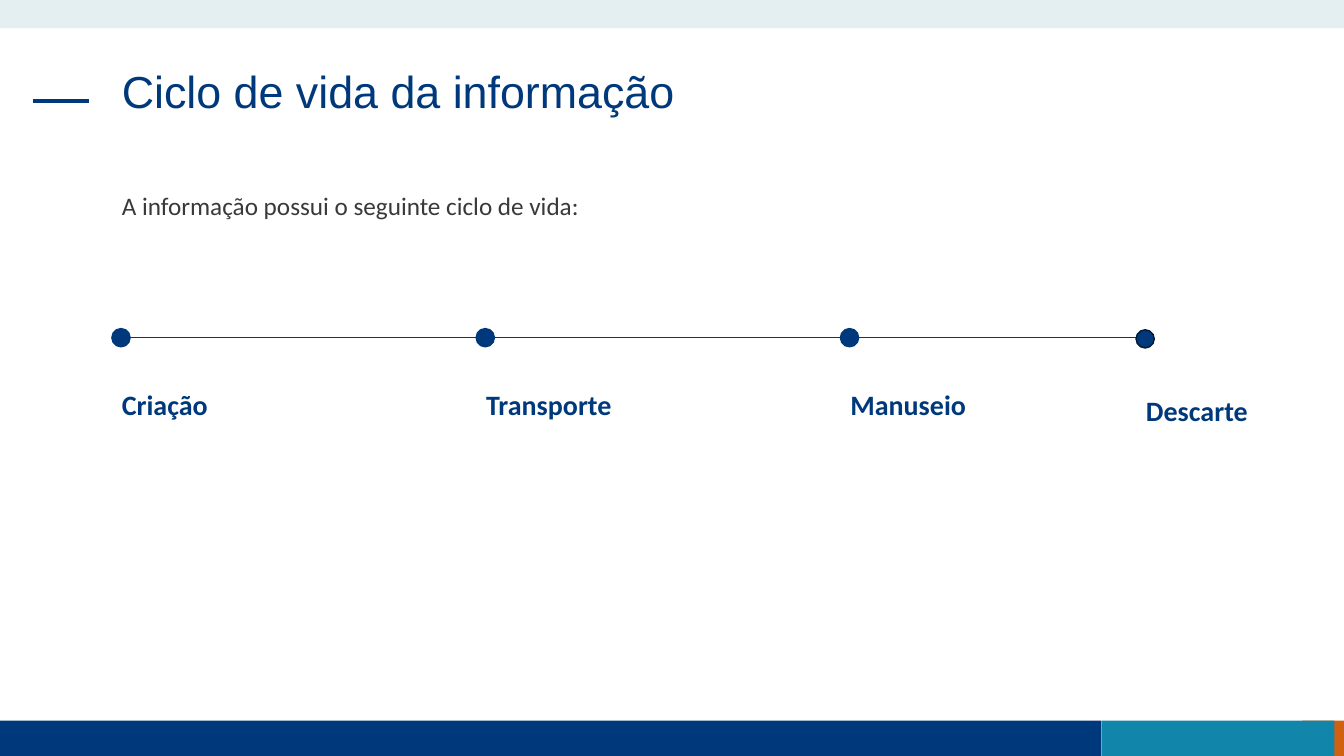
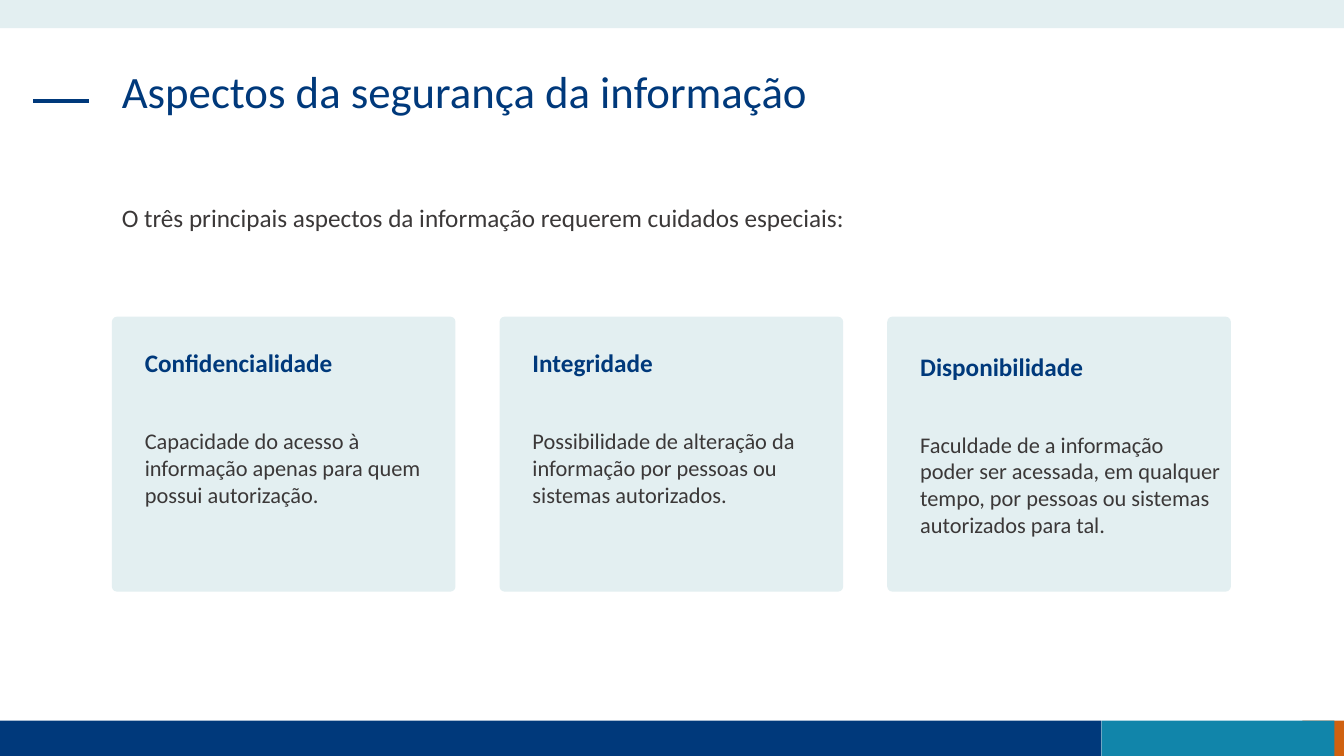
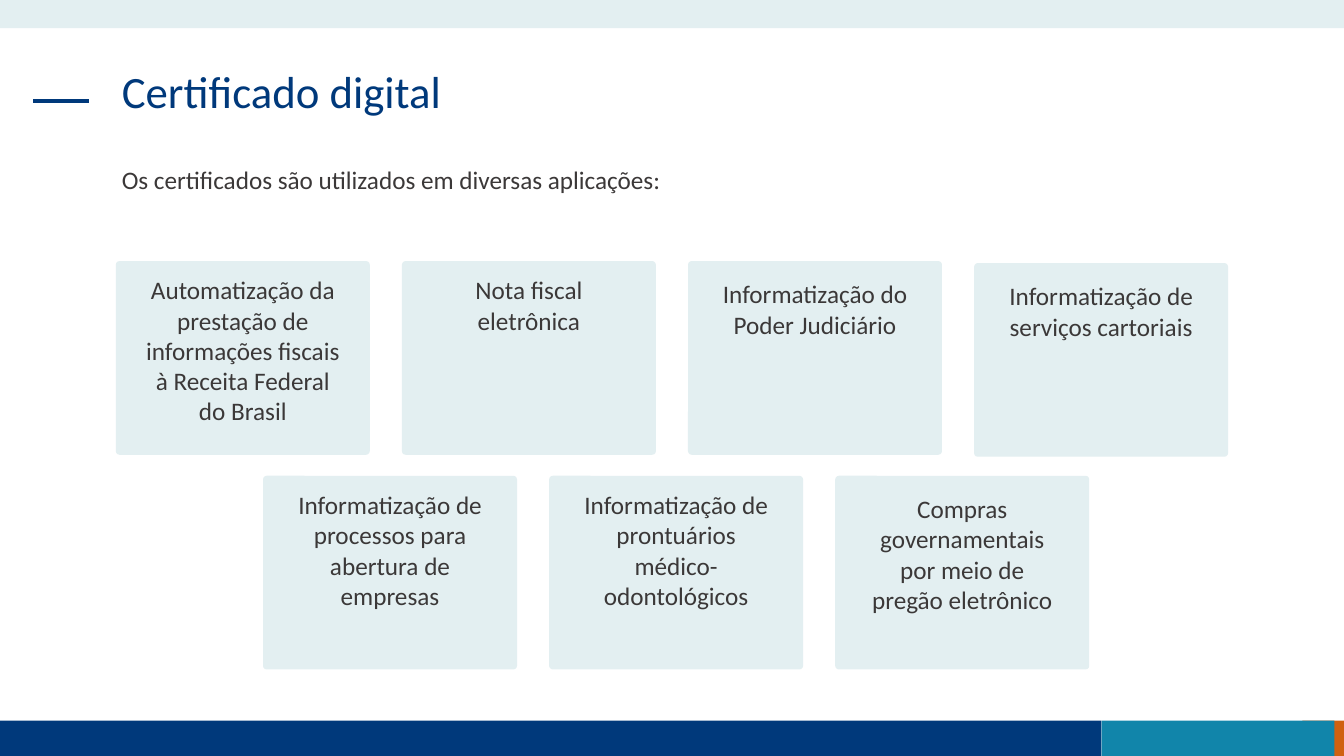
"""Build three slides on information security: life cycle, aspects and digital certificates."""
from lxml.etree import SubElement
from pptx import Presentation
from pptx.dml.color import RGBColor
from pptx.enum.shapes import MSO_CONNECTOR, MSO_SHAPE
from pptx.enum.text import PP_ALIGN
from pptx.oxml.ns import qn
from pptx.util import Cm, Pt

NAVY, TEAL, ORANGE, PALE, GREY, DARK = "00397B", "1185AA", "D06110", "E3EFF1", "3B3838", "001936"
TITLE = {"size": Pt(32)}
BODY = {"name": "Calibri", "size": Pt(18)}
SMALL = {"name": "Calibri", "size": Pt(16)}
HEADING = {"name": "Calibri", "size": Pt(18), "bold": True}
STAGE = {"name": "Calibri", "size": Pt(20), "bold": True}


def add_box(s, kind, x, y, w, h, fill, line=None):
    sp = s.shapes.add_shape(kind, Cm(x), Cm(y), Cm(w), Cm(h))
    sp.shadow.inherit = False
    sp.fill.solid()
    sp.fill.fore_color.rgb = RGBColor.from_string(fill)
    if line:
        sp.line.color.rgb = RGBColor.from_string(line)
        sp.line.width = Pt(1)
    else:
        sp.line.fill.background()
    if kind == MSO_SHAPE.ROUNDED_RECTANGLE:
        sp.adjustments[0] = 0.019
    return sp


def add_text(s, text, x, y, w, h, color, font, **layout):
    tf = s.shapes.add_textbox(Cm(x), Cm(y), Cm(w), Cm(h)).text_frame
    tf.word_wrap = True
    p = tf.paragraphs[0]
    for name, value in layout.items():
        setattr(p, name, value)
    r = p.add_run()
    r.text = text
    r.font.color.rgb = RGBColor.from_string(color)
    for name, value in font.items():
        setattr(r.font, name, value)


prs = Presentation()
prs.slide_width, prs.slide_height = Cm(33.87), Cm(19.05)

bands = [
    (32.82, 18.16, 1.05, 0.89, ORANGE),
    (0, 18.16, 27.76, 0.89, NAVY),
    (27.76, 18.16, 5.87, 0.89, TEAL),
    (0, 0, 33.87, 0.71, PALE),
]
openings = [
    ("Ciclo de vida da informação", "Arial", "A informação possui o seguinte ciclo de vida:", 4.67),
    ("Aspectos da segurança da informação", "Calibri",
     "O três principais aspectos da informação requerem cuidados especiais:", 4.98),
    ("Certificado digital", "Calibri", "Os certificados são utilizados em diversas aplicações:", 4.01),
]
rules = [(0.84, 2.24, 2.54, 3)]
slides = []
for title, face, intro, intro_y in openings:
    s = prs.slides.add_slide(prs.slide_layouts[6])
    slides.append(s)
    for x, y, w, h, fill in bands:
        add_box(s, MSO_SHAPE.RECTANGLE, x, y, w, h, fill)
    lines = rules + [(3.05, 28.85, 8.51, 0.5)] if s is slides[0] else rules
    for x1, x2, y, width in lines:
        line = s.shapes.add_connector(MSO_CONNECTOR.STRAIGHT, Cm(x1), Cm(y), Cm(x2), Cm(y))
        line.line.color.rgb = RGBColor.from_string(NAVY)
        line.line.width = Pt(width)
        SubElement(line._element.spPr, qn("a:effectLst"))
    add_text(s, title, 2.82, 1.63, 28.19, 2.39, NAVY, {**TITLE, "name": face}, line_spacing=0.9)
    add_text(s, intro, 2.82, intro_y, 24.87, 1.02, GREY, BODY)

cycle, aspects, certificates = slides

stages = [
    ("Criação", 2.82, 8.28, 9.65, NAVY),
    ("Transporte", 12, 8.28, 9.65, NAVY),
    ("Manuseio", 21.18, 8.28, 9.65, NAVY),
    ("Descarte", 28.63, 8.31, 9.78, DARK),
]
for name, x, dot_y, label_y, outline in stages:
    add_box(cycle, MSO_SHAPE.OVAL, x, dot_y, 0.46, 0.46, NAVY, outline)
    add_text(cycle, name, x, label_y, 5.2, 1.12, NAVY, STAGE)

cards = [
    ("Confidencialidade", "Capacidade do acesso à informação apenas para quem possui autorização.", 0, 7.52),
    ("Integridade", "Possibilidade de alteração da informação por pessoas ou sistemas autorizados.", 0, 7.52),
    ("Disponibilidade", "Faculdade de a informação poder ser acessada, em qualquer tempo, "
     "por pessoas ou sistemas autorizados para tal.", 0.09, 8.08),
]
for i, (heading, text, drop, w) in enumerate(cards):
    x = 2.82 + 9.77 * i
    add_box(aspects, MSO_SHAPE.ROUNDED_RECTANGLE, x, 7.98, 8.66, 6.93, PALE)
    add_text(aspects, heading, x + 0.58, 8.64 + drop, 7.52, 1.02, NAVY, HEADING)
    add_text(aspects, text, x + 0.58, 10.64 + drop, w, 3, GREY, SMALL)

rows = [
    (2.92, 6.58, [
        ("Automatização da prestação de informações fiscais à Receita Federal do Brasil", 0, 0.22),
        ("Nota fiscal eletrônica", 0, 0.22),
        ("Informatização do Poder Judiciário", 0, 0.32),
        ("Informatização de serviços cartoriais", 0.05, 0.32),
    ]),
    (6.63, 11.99, [
        ("Informatização de processos para abertura de empresas", 0, 0.22),
        ("Informatização de prontuários médico-odontológicos", 0, 0.22),
        ("Compras governamentais por meio de pregão eletrônico", 0, 0.32),
    ]),
]
for left, top, uses in rows:
    for i, (text, drop, inset) in enumerate(uses):
        x, y = left + 7.21 * i, top + drop
        add_box(certificates, MSO_SHAPE.ROUNDED_RECTANGLE, x, y, 6.4, 4.88, PALE)
        add_text(certificates, text, x + 0.43, y + inset, 5.54, 4.5, GREY, BODY, alignment=PP_ALIGN.CENTER)

prs.save("out.pptx")
